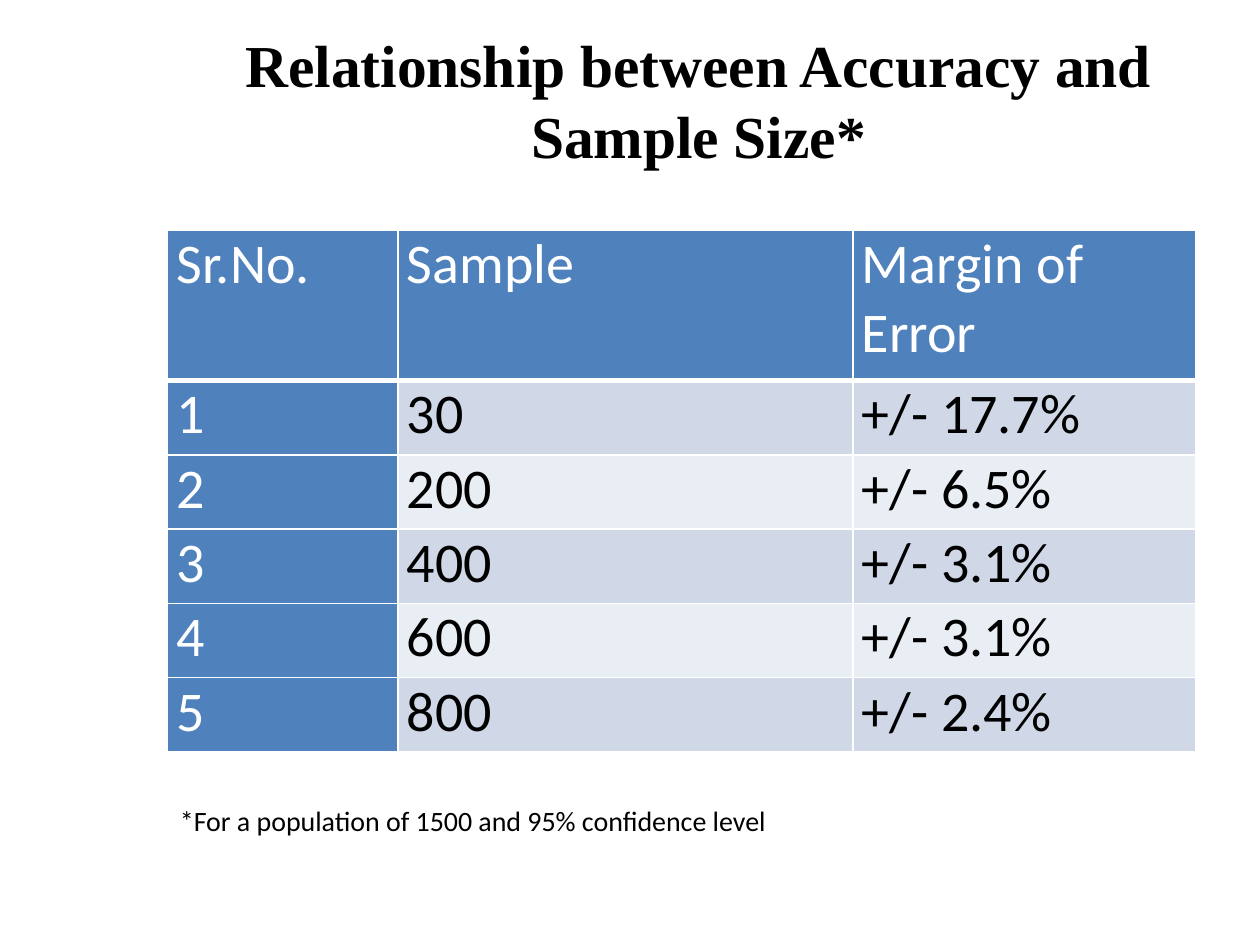
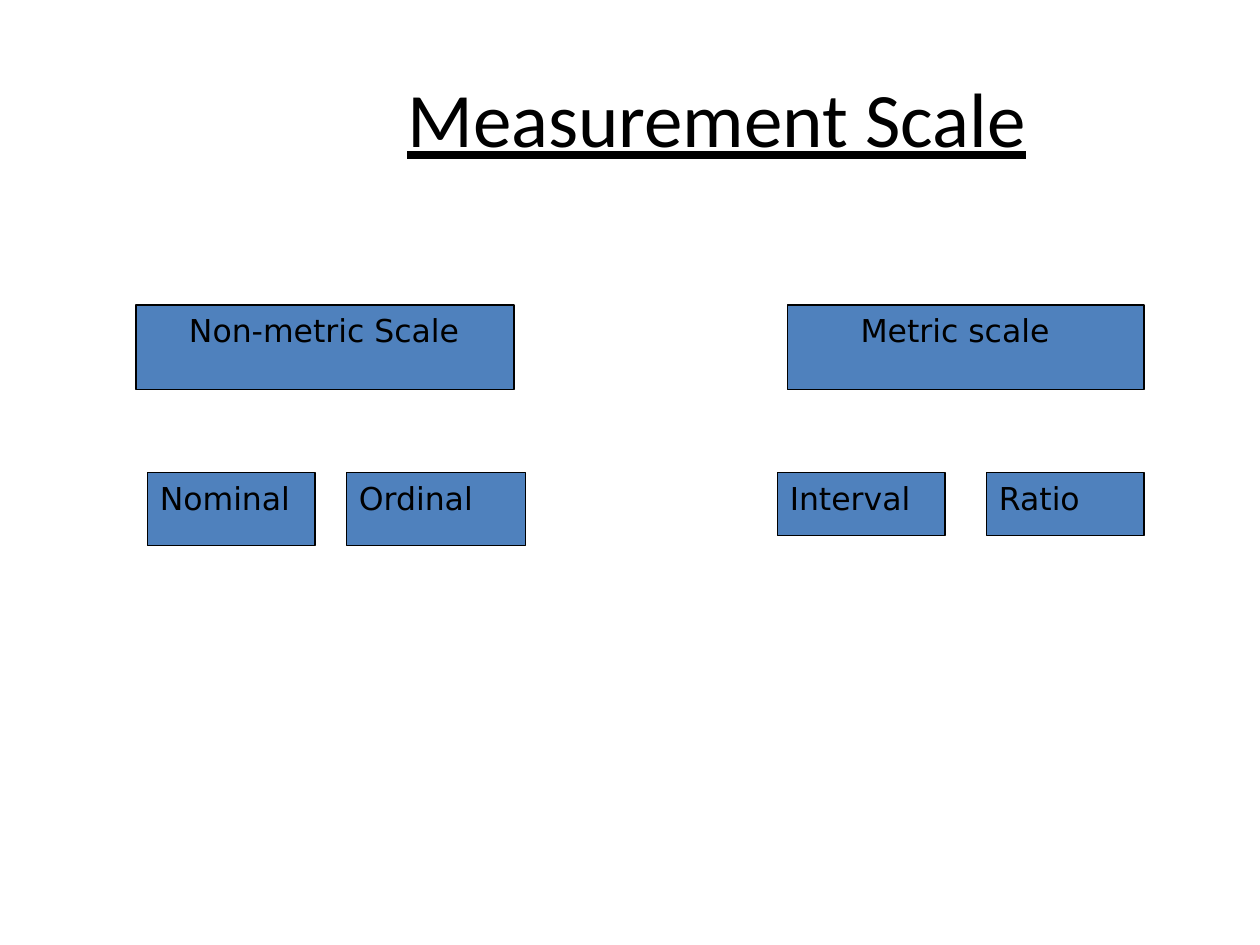
from dataclasses import dataclass

from lxml.etree import SubElement as Sub
from pptx import Presentation
from pptx.dml.color import RGBColor as RGB
from pptx.enum.shapes import MSO_SHAPE as Shape
from pptx.enum.text import MSO_ANCHOR as Anchor, MSO_AUTO_SIZE as Fit, PP_ALIGN as Align
from pptx.oxml.ns import qn
from pptx.util import Inches, Pt


@dataclass(frozen=True)
class Theme:
    black: RGB = RGB(0, 0, 0)
    white: RGB = RGB(255, 255, 255)
    blue: RGB = RGB(0x4F, 0x81, 0xBD)
    bands: tuple = (RGB(0xD0, 0xD8, 0xE8), RGB(0xE9, 0xED, 0xF4))
    body: str = "Calibri"
    serif: str = "Times New Roman"
    label: str = "DejaVu Sans"
    large: int = 44
    head: int = 34
    cell: int = 32
    box: int = 18
    note: int = 16


theme = Theme()


def write(frame, text, font, size, color=theme.black, align=Align.LEFT):
    """Set the text of a frame and format its run; return the run font."""
    frame.text = text
    frame.word_wrap = True
    para = frame.paragraphs[0]
    para.alignment = align
    face = para.runs[0].font
    face.name, face.size, face.color.rgb = font, Pt(size), color
    return face


def add_slide(title, place, font, size):
    """Add a slide with a centred title; return the slide, frame and font."""
    slide = deck.slides.add_slide(deck.slide_layouts[5])
    head = slide.shapes.title
    head.left, head.top, head.width, head.height = map(Inches, place)
    frame = head.text_frame
    face = write(frame, title, font, size, align=Align.CENTER)
    frame.auto_size = Fit.NONE
    frame.vertical_anchor = Anchor.MIDDLE
    return slide, frame, face


deck = Presentation()
deck.slide_width, deck.slide_height = Inches(10), Inches(7.5)

# Slide 1: accuracy and sample size
slide, frame, face = add_slide("Relationship between Accuracy and Sample Size*",
                               (1.42, 0.33, 8.25, 0.92), theme.serif, theme.head)
face.bold = True

# Table of margins
samples = [("30", "17.7"), ("200", "6.5"), ("400", "3.1"), ("600", "3.1"), ("800", "2.4")]
rows = [("Sr.No.", "Sample", "Margin of Error")]
rows += [(str(n), size, f"+/- {error}%") for n, (size, error) in enumerate(samples, 1)]
widths = (1.83, 3.61, 2.72)
heights = [1.19] + [0.59] * len(samples)

table = slide.shapes.add_table(len(rows), len(widths), Inches(1.33), Inches(1.83),
                               Inches(sum(widths)), Inches(sum(heights))).table
for col, width in zip(table.columns, widths):
    col.width = Inches(width)
for row, height in zip(table.rows, heights):
    row.height = Inches(height)

for r, row in enumerate(rows):
    for c, text in enumerate(row):
        cell = table.cell(r, c)
        key = r == 0 or c == 0
        write(cell.text_frame, text, theme.body, theme.cell,
              theme.white if key else theme.black).bold = False
        cell.margin_left = cell.margin_right = Inches(0.07)
        cell.margin_top = cell.margin_bottom = 0
        # Borders come before the fill in the cell properties
        props = cell._tc.get_or_add_tcPr()
        for side in ("lnL", "lnR", "lnT", "lnB"):
            width = 3 if r == 0 and side == "lnB" else 1
            line = Sub(props, qn(f"a:{side}"), w=str(Pt(width)))
            Sub(Sub(line, qn("a:solidFill")), qn("a:srgbClr"), val=str(theme.white))
        cell.fill.solid()
        cell.fill.fore_color.rgb = theme.blue if key else theme.bands[(r - 1) % 2]

# Footnote
note = slide.shapes.add_textbox(Inches(1.33), Inches(6.33), Inches(7.83), Inches(0.37))
write(note.text_frame, "*For a population of 1500 and 95% confidence level",
      theme.body, theme.note)

# Slide 2: measurement scales
slide, frame, face = add_slide("Measurement Scale", (0.5, 0.3, 9, 1.25),
                               theme.body, theme.large)
frame.margin_left = Inches(1.48)
face.underline = True

# Scale boxes: text, left, top, width, height, text indent
boxes = [
    ("Non-metric Scale", 1.08, 2.42, 3, 0.67, 0.32),
    ("Metric scale", 6.25, 2.42, 2.83, 0.67, 0.48),
    ("Nominal", 1.17, 3.75, 1.33, 0.58, 0),
    ("Ordinal", 2.75, 3.75, 1.42, 0.58, 0),
    ("Interval", 6.17, 3.75, 1.33, 0.5, 0),
    ("Ratio", 7.83, 3.75, 1.25, 0.5, 0),
]
for text, *place, indent in boxes:
    box = slide.shapes.add_shape(Shape.RECTANGLE, *map(Inches, place))
    box.shadow.inherit = False
    box.fill.solid()
    box.fill.fore_color.rgb = theme.blue
    box.line.color.rgb = theme.black
    box.line.width = Pt(0.75)
    write(box.text_frame, text, theme.label, theme.box)
    box.text_frame.vertical_anchor = Anchor.TOP
    box.text_frame.margin_left = Inches(0.1 + indent)

deck.save("out.pptx")
